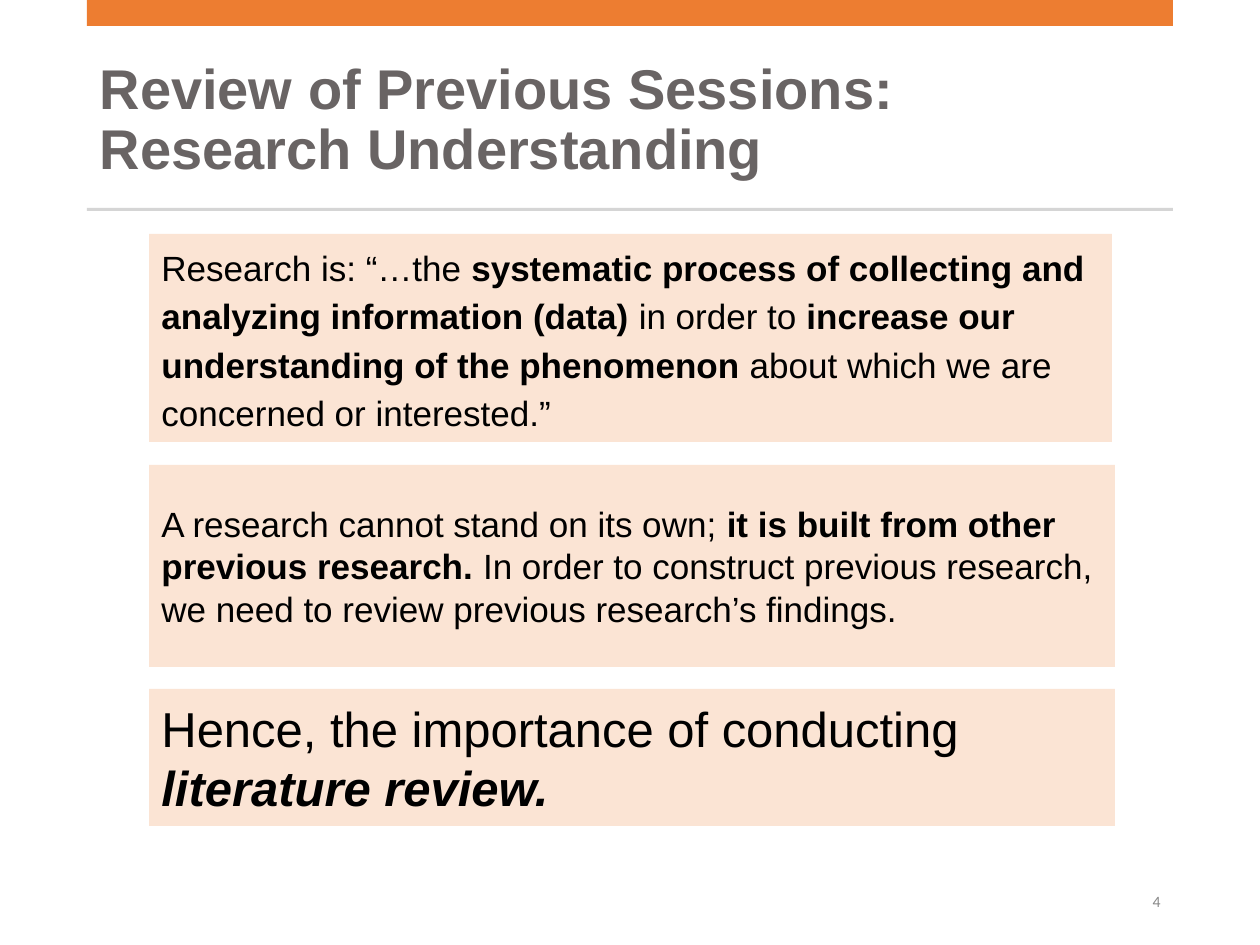
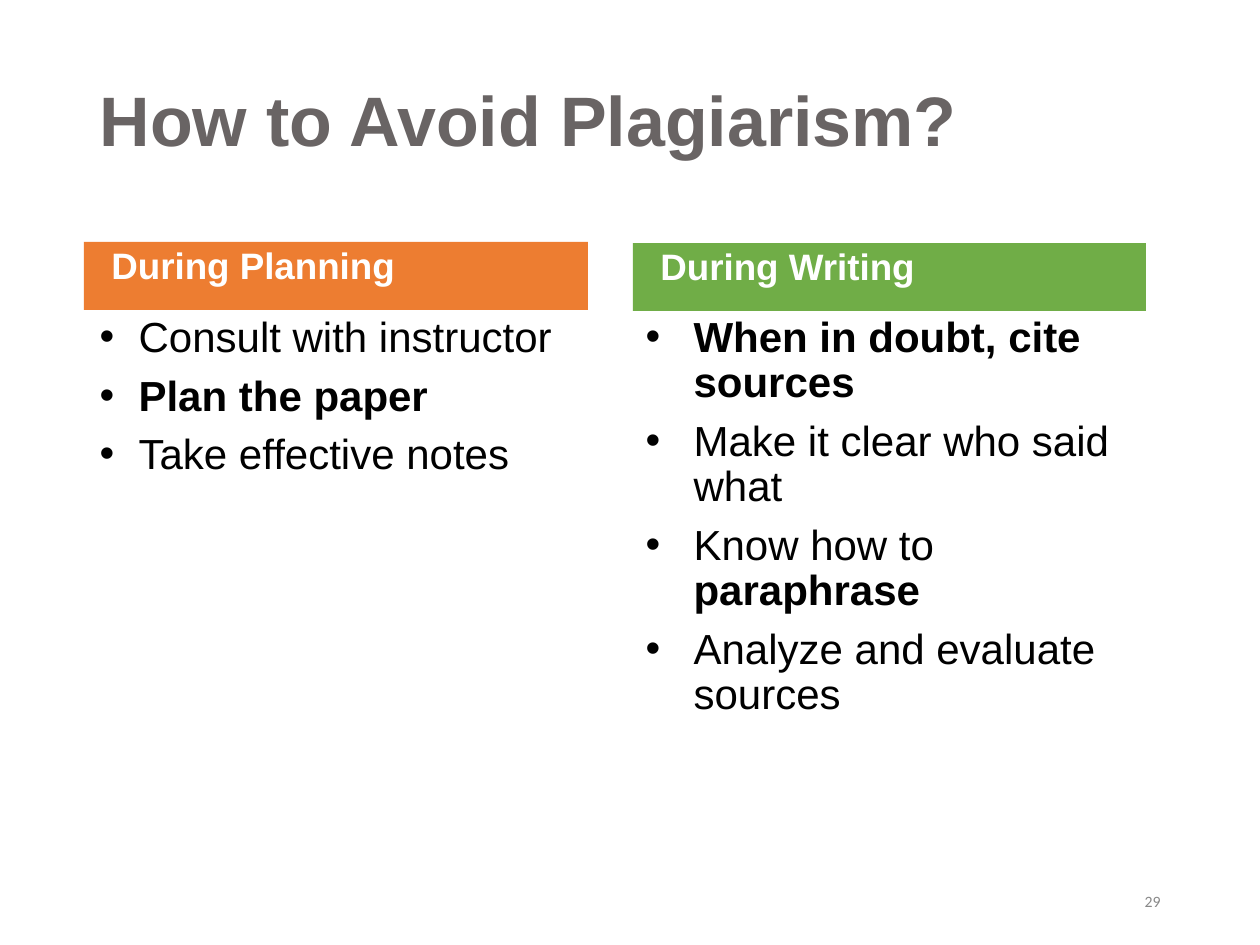
from pptx import Presentation
from pptx.dml.color import RGBColor as RGB
from pptx.enum.shapes import MSO_SHAPE as Shape
from pptx.enum.text import MSO_ANCHOR as Anchor, MSO_AUTO_SIZE as Auto, PP_ALIGN as Align
from pptx.oxml.ns import qn
from pptx.util import Pt
from lxml.etree import SubElement as Sub

PX = 914400 / 126
BLACK = RGB(0, 0, 0)
WHITE = RGB(255, 255, 255)
GREY = RGB(0x69, 0x64, 0x64)
PALE = RGB(0x88, 0x88, 0x88)
RULE = RGB(0xD5, 0xD5, 0xD5)
PEACH = RGB(0xFB, 0xE4, 0xD4)
ORANGE = RGB(0xED, 0x7D, 0x31)
GREEN = RGB(0x70, 0xAD, 0x47)


def put(shape, text, size, color=BLACK, font="Arial", anchor=Anchor.TOP, align=Align.LEFT,
        line=1.0, before=0, left=0, bullet=False, slant=False):
    frame = shape.text_frame
    frame.word_wrap = True
    frame.auto_size = Auto.NONE
    frame.vertical_anchor = anchor
    for i, words in enumerate([text] if isinstance(text, str) else text):
        para = frame.add_paragraph() if i else frame.paragraphs[0]
        para.alignment = align
        para.line_spacing = line
        para.space_before = Pt(before)
        props = para._p.get_or_add_pPr()
        props.set("marL", str(round(left * PX)))
        props.set("indent", str(round(-left * PX) if bullet else 0))
        if bullet:
            Sub(Sub(props, qn("a:buClr")), qn("a:srgbClr"), val=str(BLACK))
            Sub(props, qn("a:buFont"), typeface="Arial")
            Sub(props, qn("a:buChar"), char="•")
        for j, part in enumerate(words.split("*")):
            for k, row in enumerate(part.split("\n")):
                if k:
                    para.add_line_break()
                if not row:
                    continue
                run = para.add_run()
                run.text = row
                run.font.name = font
                run.font.size = Pt(size)
                run.font.color.rgb = color
                run.font.bold = j % 2 == 1
                run.font.italic = slant and j % 2 == 1


def box(slide, at, fill):
    shape = slide.shapes.add_shape(Shape.RECTANGLE, *[round(n * PX) for n in at])
    shape.shadow.inherit = False
    shape.fill.solid()
    shape.fill.fore_color.rgb = fill
    shape.line.fill.background()
    return shape


deck = Presentation()
deck.slide_width = round(1260 * PX)
deck.slide_height = round(945 * PX)

pages = [
    (5, "*Review of Previous Sessions:\nResearch Understanding*", 32, (87, 47, 1086, 149), "4"),
    (3, "*How to Avoid Plagiarism?*", 40, (87, 55, 1131, 137), "29"),
]
slides = []
for layout, title, size, at, number in pages:
    slide = deck.slides.add_slide(deck.slide_layouts[layout])
    head = slide.shapes.title
    head.left, head.top, head.width, head.height = [round(n * PX) for n in at]
    put(head, title, size, GREY, anchor=Anchor.MIDDLE, line=0.9)
    foot = slide.shapes.add_textbox(*[round(n * PX) for n in (890, 876, 283, 50)])
    put(foot, number, 9, PALE, "Calibri", Anchor.MIDDLE, Align.RIGHT)
    slides.append(slide)
review, avoid = slides

box(review, (87, 0, 1086, 26), ORANGE)
box(review, (87, 208, 1086, 3), RULE)
quote = ("Research is: “…the *systematic process of collecting and analyzing information (data)* "
         "in order to *increase our understanding of the phenomenon* "
         "about which we are concerned or interested.”")
basis = ("A research cannot stand on its own; *it is built from other previous research. *"
         "In order to construct previous research, we need to review previous research’s findings.")
hence = "Hence, the importance of conducting *literature review.*"
cards = [
    (quote, 234, 963, 208, 20, Anchor.TOP, 1.15),
    (basis, 465, 966, 202, 20, Anchor.MIDDLE, 1.0),
    (hence, 689, 966, 137, 28, Anchor.MIDDLE, 1.0),
]
for text, top, width, height, size, anchor, line in cards:
    card = box(review, (149, top, width, height), PEACH)
    put(card, text, size, anchor=anchor, line=line, slant=text == hence)

plan = ["Consult with instructor", "*Plan the paper*", "Take effective notes"]
write = ["*When in doubt, cite sources*", "Make it clear who said what",
         "Know how to *paraphrase*", "Analyze and evaluate sources"]
lists = [
    (1, "*During Planning*", ORANGE, (84, 242, 504, 68), plan, (87, 310, 501, 578), 39),
    (2, "*During Writing*", GREEN, (633, 243, 513, 68), write, (633, 310, 513, 578), 48),
]
for slot, label, fill, at, items, area, left in lists:
    body = avoid.placeholders[slot]
    body.left, body.top, body.width, body.height = [round(n * PX) for n in area]
    put(body, items, 24, line=0.9, before=7.5, left=left, bullet=True)
    put(box(avoid, at, fill), label, 21, WHITE, line=0.9, before=7.5, left=15)

deck.save("out.pptx")
